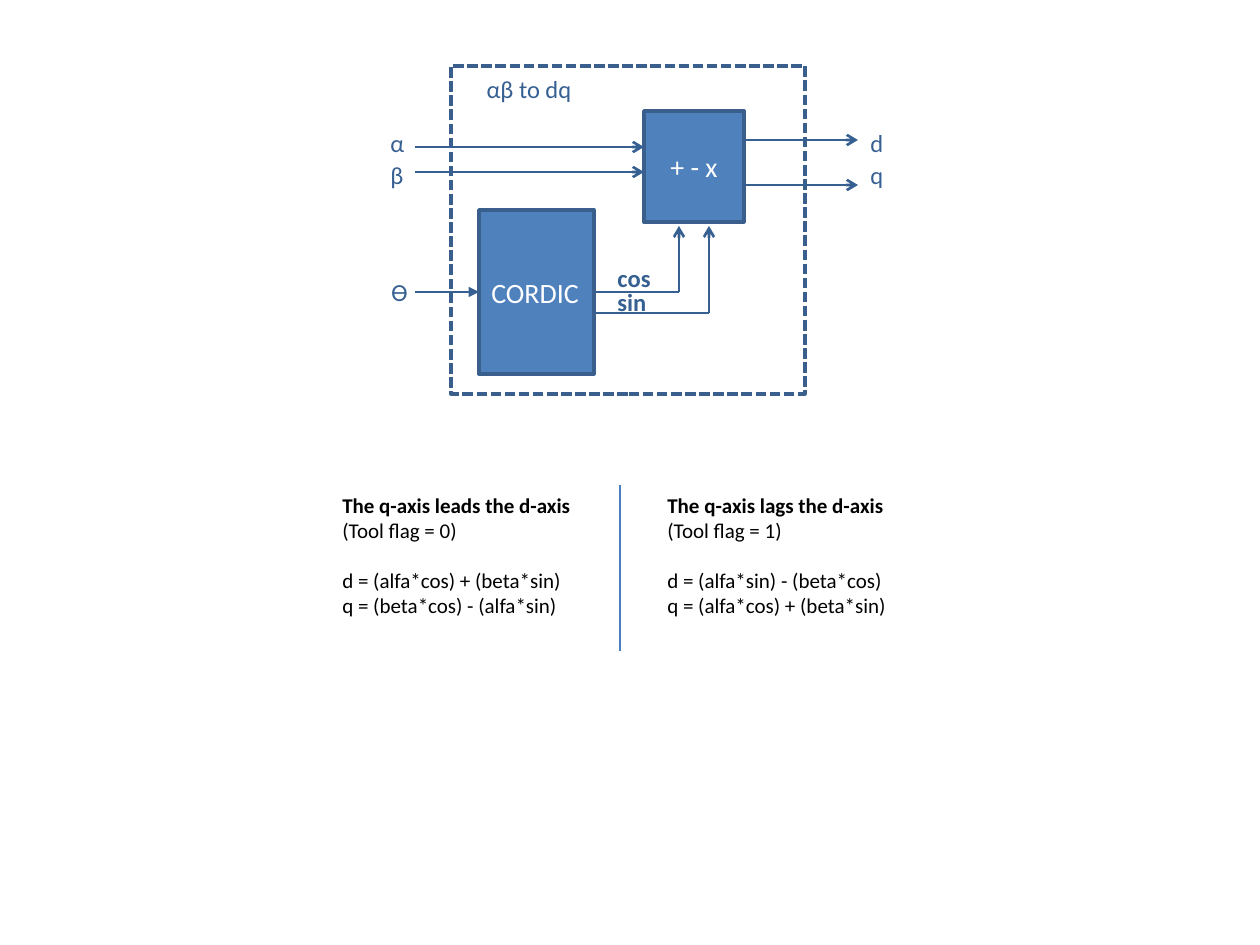
from dataclasses import dataclass
from lxml import etree
from pptx import Presentation
from pptx.dml.color import RGBColor
from pptx.enum.dml import MSO_LINE
from pptx.enum.shapes import MSO_CONNECTOR, MSO_SHAPE
from pptx.enum.text import MSO_ANCHOR, MSO_AUTO_SIZE, PP_ALIGN
from pptx.oxml.ns import qn
from pptx.util import Emu, Pt

LEFT, CENTER, JUSTIFY = PP_ALIGN.LEFT, PP_ALIGN.CENTER, PP_ALIGN.JUSTIFY
MIDDLE = MSO_ANCHOR.MIDDLE
FIT_SHAPE = MSO_AUTO_SIZE.SHAPE_TO_FIT_TEXT
RECT = MSO_SHAPE.RECTANGLE
STRAIGHT = MSO_CONNECTOR.STRAIGHT
SYS_DASH = MSO_LINE.SQUARE_DOT

EMU_PER_PX = 914400 / 126
FONT = "Calibri"
NAVY, EDGE, BLUE = "376092", "3A5F8C", "4F81BD"
RULE, WHITE, BLACK = "4B7EBC", "FFFFFF", "000000"


@dataclass
class Block:
    x: int
    y: int
    w: int
    h: int
    text: str = ""
    align: PP_ALIGN = LEFT
    fill: str = BLUE


@dataclass
class Wire:
    x1: int
    y1: int
    x2: int
    y2: int
    arrow: str = ""
    color: str = NAVY
    width: float = 1.5


@dataclass
class Label:
    x: int
    y: int
    w: int
    text: str
    wrap: bool = True
    bold: bool = False


@dataclass
class Case:
    x: int
    title: str
    flag: str
    equations: tuple[str, str]


BLOCKS = [
    Block(479, 210, 115, 164, "CORDIC"),
    Block(644, 111, 100, 111, "+ - x", CENTER),
    Block(451, 66, 354, 328, fill=""),
]
WIRES = [
    Wire(415, 147, 644, 147, "arrow"),
    Wire(415, 172, 644, 172, "arrow"),
    Wire(415, 292, 479, 292, "triangle"),
    Wire(594, 292, 679, 292),
    Wire(679, 292, 679, 226, "arrow"),
    Wire(594, 313, 709, 313),
    Wire(709, 313, 709, 226, "arrow"),
    Wire(744, 140, 858, 140, "arrow"),
    Wire(744, 185, 858, 185, "arrow"),
    Wire(620, 485, 620, 651, color=RULE, width=0.75),
]
LABELS = [
    Label(378, 271, 43, "ϴ", wrap=False),
    Label(471, 68, 116, "αβ to dq"),
    Label(378, 122, 37, "α"),
    Label(378, 154, 37, "β"),
    Label(858, 122, 37, "d"),
    Label(858, 154, 37, "q"),
    Label(605, 257, 59, "cos", wrap=False, bold=True),
    Label(605, 281, 55, "sin", wrap=False, bold=True),
]
CASES = [
    Case(330, "The q-axis leads the d-axis", "(Tool flag = 0)",
         ("d = (alfa*cos) + (beta*sin)", "q = (beta*cos) - (alfa*sin)")),
    Case(655, "The q-axis lags the d-axis", "(Tool flag = 1)",
         ("d = (alfa*sin) - (beta*cos)", "q = (alfa*cos) + (beta*sin)")),
]


def px(n: int) -> Emu:
    return Emu(round(n * EMU_PER_PX))


def rgb(color: str) -> RGBColor:
    return RGBColor.from_string(color)


def write(p, text: str, *, size: int, color: str, bold: bool = False,
          align: PP_ALIGN = LEFT, outline: bool = False) -> None:
    p.alignment = align
    r = p.add_run()
    r.text = text
    r.font.name = FONT
    r.font.size = Pt(size)
    r.font.bold = bold
    r.font.color.rgb = rgb(color)
    if outline:
        ln = etree.Element(qn("a:ln"), w=str(Pt(0.75)))
        fill = etree.SubElement(ln, qn("a:solidFill"))
        etree.SubElement(fill, qn("a:srgbClr"), val=color)
        r.font._element.insert(0, ln)


def add_block(s, b: Block) -> None:
    sp = s.shapes.add_shape(RECT, px(b.x), px(b.y), px(b.w), px(b.h))
    sp.shadow.inherit = False
    sp.line.color.rgb = rgb(EDGE)
    sp.line.width = Pt(2)
    if b.fill:
        sp.fill.solid()
        sp.fill.fore_color.rgb = rgb(b.fill)
    else:
        sp.fill.background()
        sp.line.dash_style = SYS_DASH
    if b.text:
        tf = sp.text_frame
        tf.vertical_anchor = MIDDLE
        write(tf.paragraphs[0], b.text, size=16, color=WHITE, align=b.align)


def add_wire(s, w: Wire) -> None:
    cx = s.shapes.add_connector(STRAIGHT, px(w.x1), px(w.y1), px(w.x2), px(w.y2))
    cx.line.color.rgb = rgb(w.color)
    cx.line.width = Pt(w.width)
    if w.arrow:
        etree.SubElement(cx.line._get_or_add_ln(), qn("a:tailEnd"), type=w.arrow)
    etree.SubElement(cx._element.spPr, qn("a:effectLst"))


def add_text_frame(s, x: int, y: int, w: int, h: int, wrap: bool = True):
    tf = s.shapes.add_textbox(px(x), px(y), px(w), px(h)).text_frame
    tf.word_wrap = wrap
    tf.auto_size = FIT_SHAPE
    return tf


def add_label(s, b: Label) -> None:
    tf = add_text_frame(s, b.x, b.y, b.w, 43, b.wrap)
    write(tf.paragraphs[0], b.text, size=14, color=NAVY, bold=b.bold,
          align=LEFT if b.bold else CENTER, outline=not b.bold)


def add_case(s, c: Case) -> None:
    tf = add_text_frame(s, c.x, 486, 263, 63)
    write(tf.paragraphs[0], c.title, size=12, color=BLACK, bold=True)
    write(tf.add_paragraph(), c.flag, size=12, color=BLACK)
    tf = add_text_frame(s, c.x, 561, 292, 63)
    first, second = c.equations
    write(tf.paragraphs[0], first, size=12, color=BLACK, align=JUSTIFY)
    write(tf.add_paragraph(), second, size=12, color=BLACK, align=JUSTIFY)


def main() -> None:
    prs = Presentation()
    prs.slide_width, prs.slide_height = px(1260), px(945)
    s = prs.slides.add_slide(prs.slide_layouts[6])
    for b in BLOCKS:
        add_block(s, b)
    for w in WIRES:
        add_wire(s, w)
    for label in LABELS:
        add_label(s, label)
    for c in CASES:
        add_case(s, c)
    prs.save("out.pptx")


if __name__ == "__main__":
    main()
